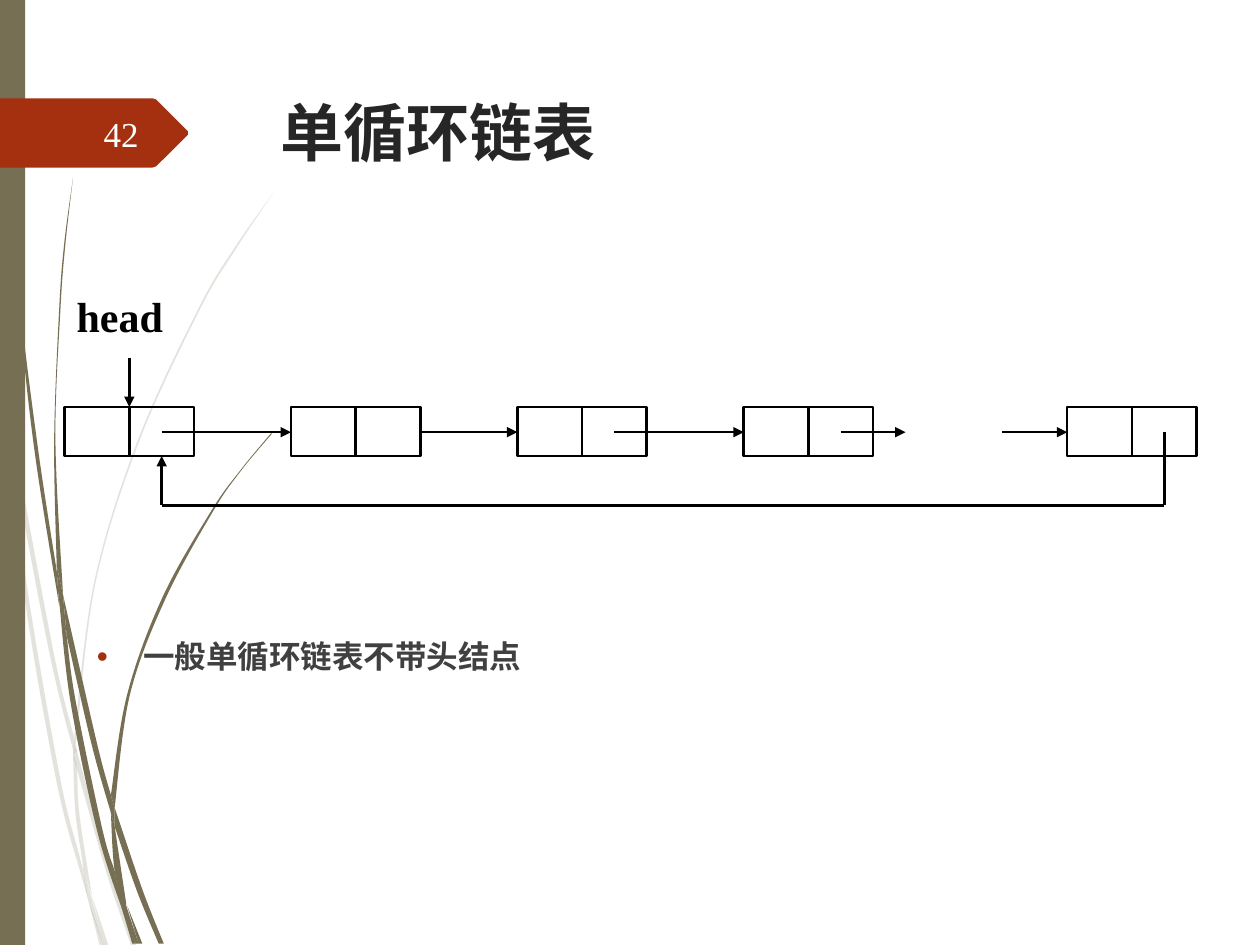
from dataclasses import dataclass

import lxml.etree
import pptx
import pptx.dml.color
import pptx.enum.shapes
import pptx.enum.text
import pptx.oxml.ns
import pptx.util

Inches = pptx.util.Inches
Pt = pptx.util.Pt
RGBColor = pptx.dml.color.RGBColor
ShapeType = pptx.enum.shapes.MSO_SHAPE
Align = pptx.enum.text.PP_ALIGN
Anchor = pptx.enum.text.MSO_ANCHOR
qn = pptx.oxml.ns.qn
Points = list[tuple[float, float]]

OLIVE = RGBColor(0x76, 0x6F, 0x54)
RUST = RGBColor(0xA5, 0x30, 0x10)
BLACK = RGBColor(0, 0, 0)
TITLE_GREY = RGBColor(0x26, 0x26, 0x26)
BODY_GREY = RGBColor(0x40, 0x40, 0x40)
NUMBER_WHITE = RGBColor(0xFE, 0xFF, 0xFF)

CELL_WIDTH, CELL_HEIGHT = 7.7 / 15, 0.39
NODE_TOP, MIDDLE, NODE_BOTTOM, RETURN_Y = 3.23, 3.43, 3.62, 4.01
NODE_COLUMNS = [1, 4.5, 8, 11.5, 16.5]
LINE_WIDTH = Pt(1.5)


@dataclass
class Blade:
    """A piece of grass: one edge going down, the other coming back up."""
    down: Points
    up: Points


@dataclass
class Label:
    text: str
    box: tuple[float, float, float, float]
    font: dict
    color: RGBColor
    alignment: Align = Align.LEFT
    anchor: Anchor = Anchor.TOP
    bullet: bool = False


@dataclass
class Link:
    """A line between two points; x is counted in cell widths."""
    start: tuple[float, float]
    end: tuple[float, float]
    arrow: bool = True


PALE_BLADES = [
    Blade([(0, 2.82), (0.06, 3.22), (0.08, 3.5)], [(0.07, 3.44), (0, 2.99)]),
    Blade([(0.1, 3.45), (0.43, 5.2), (0.59, 5.86)], [(0.59, 5.99), (0.4, 5.22), (0.12, 3.76)]),
    Blade([(0.61, 5.96), (0.88, 6.92), (1.08, 7.5)], [(1.04, 7.5), (0.85, 6.94), (0.61, 6.1)]),
    Blade([(0.73, 7.11), (0.86, 7.5)], [(0.83, 7.5)]),
    Blade([(0.08, 3.5), (0.22, 4.69), (0.48, 6.19), (0.64, 6.83), (0.7, 7.14)],
          [(0.64, 6.93), (0.45, 6.21), (0.19, 4.7), (0.08, 3.5)]),
    Blade([(0.58, 5.99), (0.61, 6.1), (0.63, 6.46), (0.73, 7.11)],
          [(0.67, 6.92), (0.6, 6.46), (0.58, 5.99)]),
    Blade([(2.17, 1.53), (1.86, 1.97), (1.58, 2.44), (1.1, 3.48), (0.75, 4.61), (0.59, 5.84)],
          [(0.61, 5.96), (0.61, 5.84), (0.76, 4.62), (1.11, 3.49), (1.59, 2.45), (1.87, 1.98),
           (2.17, 1.53)]),
    Blade([(0.7, 7.14), (0.79, 7.5)], [(0.82, 7.5)]),
    Blade([(0.59, 5.86), (0.58, 5.99)], [(0.61, 6.1), (0.61, 5.96)]),
    Blade([(0.65, 6.83), (0.7, 7.14), (0.82, 7.5)], [(0.83, 7.5), (0.67, 6.92)]),
]
DARK_BLADES = [
    Blade([(0.02, 0), (0.05, 1.1), (0.14, 2.33), (0.27, 3.55), (0.47, 4.81)],
          [(0.45, 4.53), (0.3, 3.55), (0.15, 2.32), (0.06, 1.09), (0.03, 0)]),
    Blade([(0.5, 4.72), (0.77, 5.9), (0.88, 6.31)], [(0.88, 6.45), (0.73, 5.92), (0.53, 5.05)]),
    Blade([(0.91, 6.41), (1.13, 7.06), (1.3, 7.49)], [(1.26, 7.49), (1.09, 7.08), (0.91, 6.56)]),
    Blade([(0.47, 4.77), (0.56, 5.57), (0.77, 6.59), (0.97, 7.22)],
          [(0.91, 6.91), (0.81, 6.57), (0.6, 5.56), (0.53, 5.05)]),
    Blade([(0.58, 1.41), (0.51, 1.93), (0.47, 2.45), (0.43, 3.49), (0.45, 4.49)],
          [(0.5, 4.72), (0.44, 3.49), (0.48, 2.45), (0.52, 1.93), (0.58, 1.41)]),
    Blade([(1.01, 7.19), (1.1, 7.49)], [(1.13, 7.49)]),
    Blade([(0.45, 4.49), (0.47, 4.77), (0.53, 5.05)], [(0.5, 4.72)]),
    Blade([(2.15, 3.44), (1.91, 3.73), (1.68, 4.05), (1.29, 4.74), (1.01, 5.51), (0.88, 6.31)],
          [(0.91, 6.41), (1.03, 5.52), (1.31, 4.76), (1.69, 4.06), (1.91, 3.74), (2.16, 3.44)]),
    Blade([(0.97, 7.22), (1.05, 7.49)], [(1.08, 7.49)]),
    Blade([(0.88, 6.45), (0.91, 6.91), (1, 7.19)], [(1, 7.16), (0.91, 6.56)]),
    Blade([(0.88, 6.31), (0.88, 6.45)], [(0.91, 6.56), (0.91, 6.41)]),
    Blade([(0.91, 6.91), (0.97, 7.22), (1.08, 7.49)], [(1.1, 7.49), (0.96, 7.06)]),
]
NUMBER_TAG = [(0, 0.78), (1.21, 0.78), (1.24, 0.79), (1.49, 1.04), (1.49, 1.07),
              (1.24, 1.32), (1.21, 1.33), (0, 1.33)]

LABELS = [
    Label("单循环链表", (2.13, 0.69, 7.21, 1.4),
          {"name": "Quicksand", "size": Pt(36), "bold": True}, TITLE_GREY),
    Label("一般单循环链表不带头结点", (0.67, 5.01, 8.5, 1.74),
          {"name": "Quicksand", "size": Pt(18), "bold": True}, BODY_GREY, bullet=True),
    Label("42", (0.56, 0.86, 0.64, 0.4),
          {"name": "Times New Roman", "size": Pt(20)}, NUMBER_WHITE, Align.RIGHT, Anchor.MIDDLE),
    Label("head", (0.51, 2.26, 1.28, 0.59),
          {"name": "Times New Roman", "size": Pt(24), "bold": True}, BLACK, Align.JUSTIFY),
]
LINKS = [
    Link((2.5, MIDDLE), (4.5, MIDDLE)),
    Link((6.5, MIDDLE), (8, MIDDLE)),
    Link((9.5, MIDDLE), (11.5, MIDDLE)),
    Link((13, MIDDLE), (14, MIDDLE)),
    Link((15.5, MIDDLE), (16.5, MIDDLE)),
    Link((2, 2.84), (2, NODE_TOP)),
    Link((18, MIDDLE), (18, RETURN_Y), arrow=False),
    Link((2.5, RETURN_Y), (18, RETURN_Y), arrow=False),
    Link((2.5, RETURN_Y), (2.5, NODE_BOTTOM)),
]


def set_all(target, values: dict) -> None:
    for name, value in values.items():
        setattr(target, name, value)


def paint(shape, color: RGBColor, opacity: int = 100) -> None:
    shape.shadow.inherit = False
    shape.line.fill.background()
    shape.fill.solid()
    shape.fill.fore_color.rgb = color
    if opacity < 100:
        rgb = shape.fill._xPr.find(".//" + qn("a:srgbClr"))
        lxml.etree.SubElement(rgb, qn("a:alpha"), val=str(opacity * 1000))


def draw_outline(slide, points: Points):
    start, *others = [(Inches(x), Inches(y)) for x, y in points]
    builder = slide.shapes.build_freeform(*start)
    builder.add_line_segments(others, close=True)
    return builder.convert_to_shape()


def curve_points(points: Points) -> Points:
    """Return two handles and an end point for each smooth step between points."""
    padded = [points[0], *points, points[-1]]
    result = []
    for a, b, c, d in zip(padded, padded[1:], padded[2:], padded[3:]):
        result.append((b[0] + (c[0] - a[0]) / 6, b[1] + (c[1] - a[1]) / 6))
        result.append((c[0] - (d[0] - b[0]) / 6, c[1] - (d[1] - b[1]) / 6))
        result.append(c)
    return result


def draw_blade(slide, blade: Blade, opacity: int) -> None:
    join = [blade.down[-1], blade.up[0], blade.up[0]]
    shape = draw_outline(
        slide, [blade.down[0]] + curve_points(blade.down) + join + curve_points(blade.up))
    lines = list(shape._element.iter(qn("a:lnTo")))
    for first, second, third in zip(lines[::3], lines[1::3], lines[2::3]):
        first.tag = qn("a:cubicBezTo")
        for line in (second, third):
            first.append(line[0])
            line.getparent().remove(line)
    paint(shape, OLIVE, opacity)


def draw_label(slide, label: Label) -> None:
    frame = slide.shapes.add_textbox(*map(Inches, label.box)).text_frame
    set_all(frame, {"word_wrap": True, "vertical_anchor": label.anchor})
    paragraph = frame.paragraphs[0]
    paragraph.text = label.text
    paragraph.alignment = label.alignment
    if label.bullet:
        properties = paragraph._p.get_or_add_pPr()
        set_values = {"marL": Inches(0.37), "indent": Inches(-0.37)}
        for name, value in set_values.items():
            properties.set(name, str(value))
        color = lxml.etree.SubElement(properties, qn("a:buClr"))
        lxml.etree.SubElement(color, qn("a:srgbClr"), val=str(RUST))
        lxml.etree.SubElement(properties, qn("a:buFont"), typeface="Arial")
        lxml.etree.SubElement(properties, qn("a:buChar"), char="•")
    font = paragraph.runs[0].font
    set_all(font, label.font)
    font.color.rgb = label.color


def draw_cell(slide, column: float) -> None:
    cell = slide.shapes.add_shape(
        ShapeType.RECTANGLE, Inches(column * CELL_WIDTH), Inches(NODE_TOP),
        Inches(CELL_WIDTH), Inches(CELL_HEIGHT))
    cell.shadow.inherit = False
    cell.fill.background()
    cell.line.color.rgb = BLACK
    cell.line.width = LINE_WIDTH


def draw_link(slide, link: Link) -> None:
    (x1, y1), (x2, y2) = link.start, link.end
    connector = slide.shapes.add_connector(
        pptx.enum.shapes.MSO_CONNECTOR.STRAIGHT, Inches(x1 * CELL_WIDTH), Inches(y1),
        Inches(x2 * CELL_WIDTH), Inches(y2))
    connector.line.color.rgb = BLACK
    connector.line.width = LINE_WIDTH
    if link.arrow:
        lxml.etree.SubElement(connector.line._get_or_add_ln(), qn("a:tailEnd"), type="triangle")
    lxml.etree.SubElement(connector._element.spPr, qn("a:effectLst"))


def main() -> None:
    presentation = pptx.Presentation()
    presentation.slide_width, presentation.slide_height = Inches(10), Inches(7.5)
    slide = presentation.slides.add_slide(presentation.slide_layouts[6])
    for blades, opacity in ((PALE_BLADES, 20), (DARK_BLADES, 100)):
        for blade in blades:
            draw_blade(slide, blade, opacity)
    side_bar = slide.shapes.add_shape(ShapeType.RECTANGLE, 0, 0, Inches(0.2), Inches(7.5))
    paint(side_bar, OLIVE)
    paint(draw_outline(slide, NUMBER_TAG), RUST)
    for column in NODE_COLUMNS:
        draw_cell(slide, column)
        draw_cell(slide, column + 1)
    for link in LINKS:
        draw_link(slide, link)
    for label in LABELS:
        draw_label(slide, label)
    presentation.save("out.pptx")


if __name__ == "__main__":
    main()
